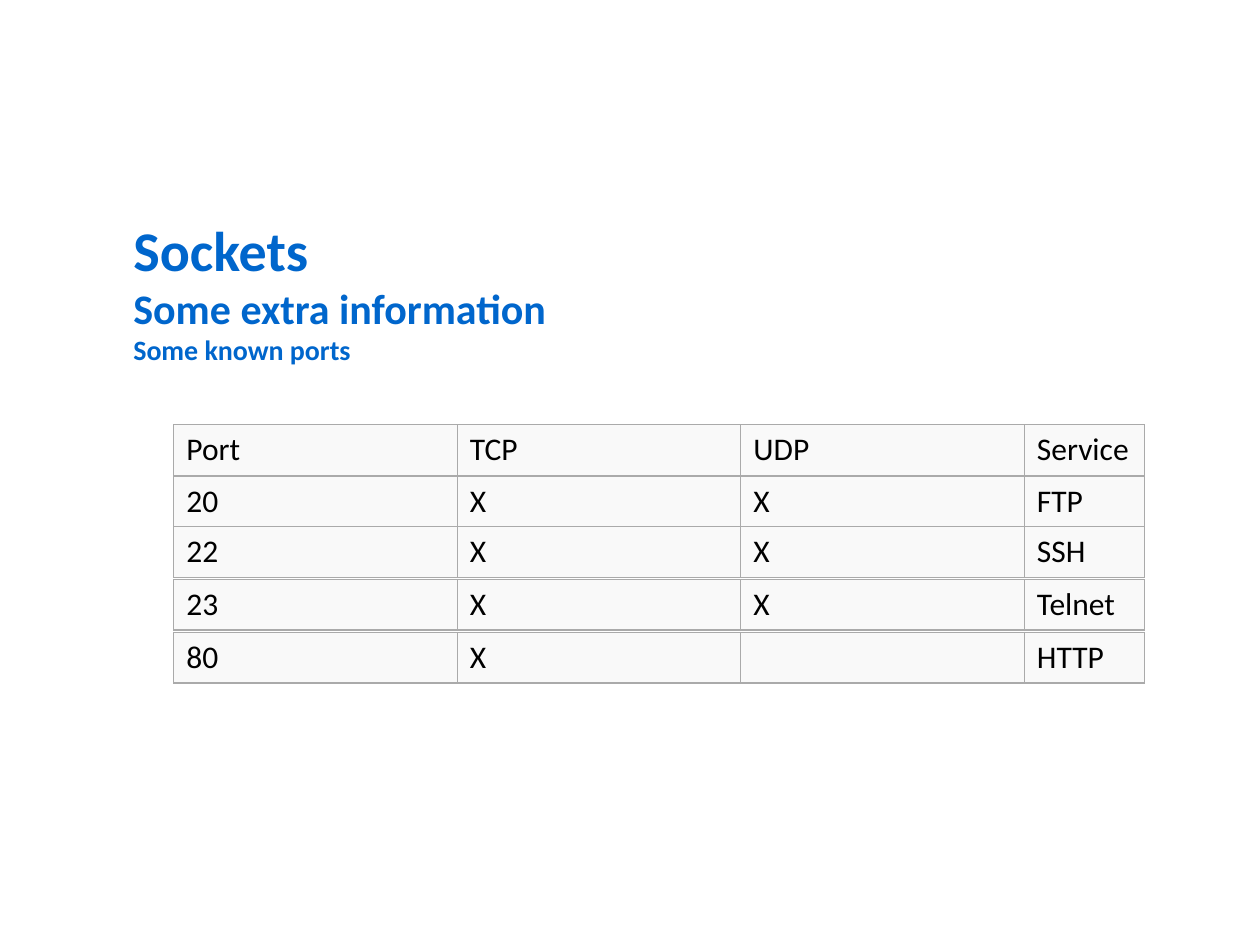
from lxml import etree
from pptx import Presentation
from pptx.dml.color import RGBColor
from pptx.enum.text import MSO_ANCHOR
from pptx.oxml.ns import qn
from pptx.util import Pt

MIDDLE = MSO_ANCHOR.MIDDLE
COLORS = {"heading": "0066CC", "text": "000000", "cell": "F9F9F9", "border": "AAAAAA"}
FONT = "Calibri"

HEADINGS = [("Sockets", 32), ("Some extra information", 24), ("Some known ports", 16)]
COLUMN_WIDTHS = [162, 162, 162, 68.4]
ROW_HEIGHT = 28.8
TABLE_LEFT = 99.36
# Each row is a table of its own: top edge and cell texts
PORT_ROWS = [
    (242.64, ["Port", "TCP", "UDP", "Service"]),
    (272.16, ["20", "X", "X", "FTP"]),
    (300.96, ["22", "X", "X", "SSH"]),
    (331.2, ["23", "X", "X", "Telnet"]),
    (361.44, ["80", "X", "", "HTTP"]),
]


def write_text(paragraph, text, size=18, color="text", bold=False):
    run = paragraph.add_run()
    run.text = text
    run.font.name = FONT
    run.font.size = Pt(size)
    run.font.bold = bold
    run.font.color.rgb = RGBColor.from_string(COLORS[color])


class SlideBuilder:
    def __init__(self, slide):
        self.slide = slide

    def headings(self, left, top, width, height, lines):
        shape = self.slide.shapes.add_textbox(Pt(left), Pt(top), Pt(width), Pt(height))
        frame = shape.text_frame
        frame.word_wrap = True
        for index, (text, size) in enumerate(lines):
            paragraph = frame.add_paragraph() if index else frame.paragraphs[0]
            write_text(paragraph, text, size=size, color="heading", bold=True)

    def row_table(self, left, top, texts):
        table = self.slide.shapes.add_table(
            1, len(texts), Pt(left), Pt(top), Pt(sum(COLUMN_WIDTHS)), Pt(ROW_HEIGHT)
        ).table
        table.first_row = False
        table.horz_banding = False
        for column, width in zip(table.columns, COLUMN_WIDTHS):
            column.width = Pt(width)
        for cell, text in zip(table.iter_cells(), texts):
            self.style_cell(cell)
            if text:
                write_text(cell.text_frame.paragraphs[0], text)

    def style_cell(self, cell):
        cell.vertical_anchor = MIDDLE
        # Borders must come before the fill in the cell properties
        properties = cell._tc.get_or_add_tcPr()
        for side in ("a:lnL", "a:lnR", "a:lnT", "a:lnB"):
            line = etree.SubElement(properties, qn(side), w=str(Pt(0.75)))
            fill = etree.SubElement(line, qn("a:solidFill"))
            etree.SubElement(fill, qn("a:srgbClr"), val=COLORS["border"])
        cell.fill.solid()
        cell.fill.fore_color.rgb = RGBColor.from_string(COLORS["cell"])


def main():
    presentation = Presentation()
    presentation.slide_width = Pt(720)
    presentation.slide_height = Pt(540)
    builder = SlideBuilder(presentation.slides.add_slide(presentation.slide_layouts[6]))

    # Headings
    builder.headings(69.12, 119.52, 596.16, 94.32, HEADINGS)

    # Known ports
    for top, texts in PORT_ROWS:
        builder.row_table(TABLE_LEFT, top, texts)

    presentation.save("out.pptx")


if __name__ == "__main__":
    main()
